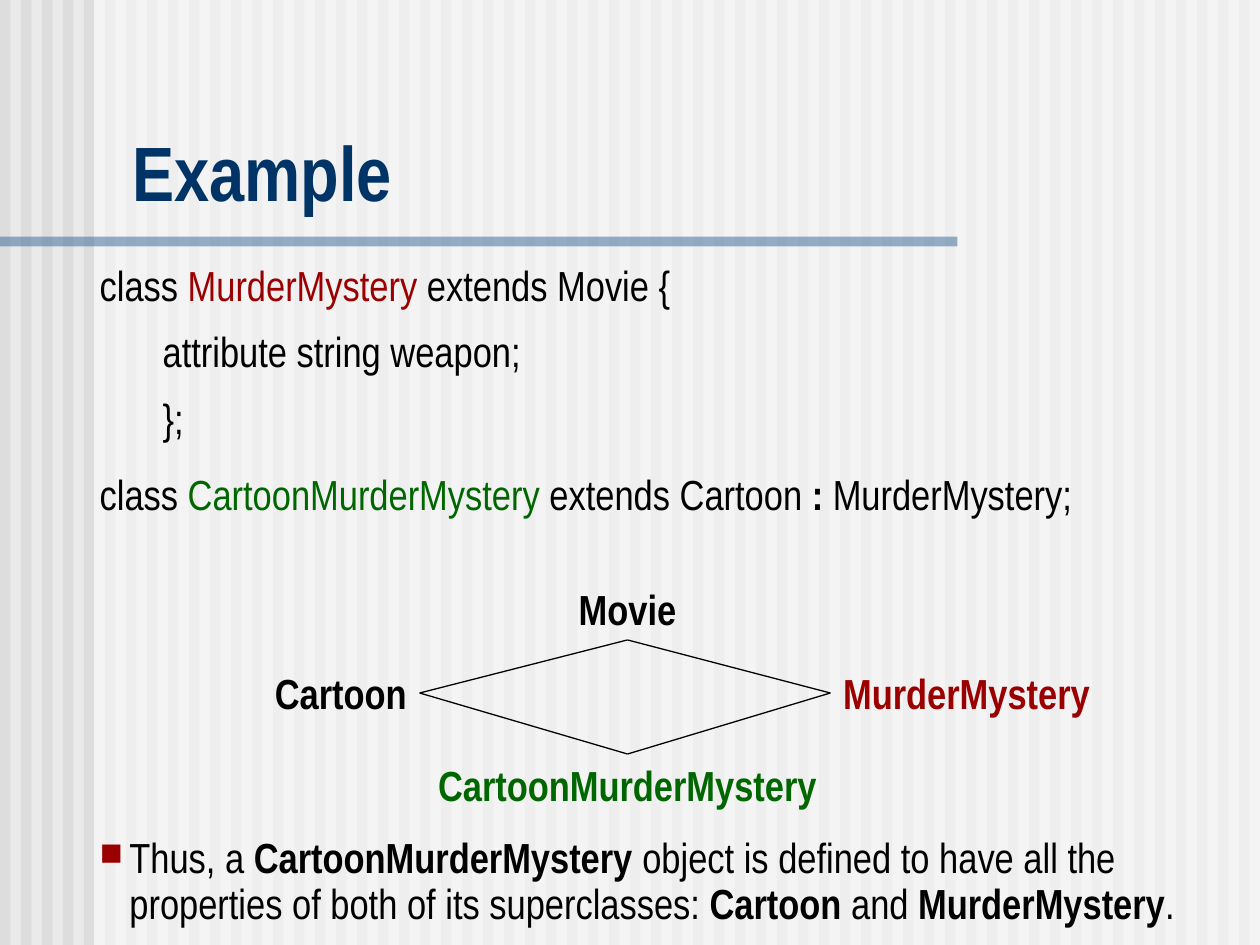
from lxml.etree import SubElement
from pptx import Presentation
from pptx.dml.color import RGBColor
from pptx.enum.shapes import MSO_CONNECTOR, MSO_SHAPE
from pptx.enum.text import MSO_ANCHOR, MSO_AUTO_SIZE, PP_ALIGN
from pptx.oxml.ns import qn
from pptx.util import Cm, Pt

FONT = "Arial Narrow"
C = {
    "back": "EAEAEA", "stripe": "DDDDDD", "veil": "FFFFFF", "rule": "336699",
    "title": "003366", "black": "000000", "red": "9A0000", "green": "006600",
}

# Content: a run is (text, colour, bold); boxes are left, top, width, height in cm
TITLE = "Example"
# Code line: runs, left margin, first-line indent, line spacing, space before
CODE = [
    ([("class ", "black", False), ("MurderMystery", "red", False),
      (" extends Movie {", "black", False)], 0.97, -0.97, 0.8, 6),
    ([("attribute string weapon;", "black", False)], 2.06, -0.79, 0.8, 15),
    ([("};", "black", False)], 2.06, -0.79, 0.8, 15),
    ([("class ", "black", False), ("CartoonMurderMystery", "green", False),
      (" extends Cartoon ", "black", False), (": ", "black", True),
      ("MurderMystery;", "black", False)], 0.97, -0.97, 1.0, 15),
]
CONCLUSION = [
    ("Thus, a ", "black", False), ("CartoonMurderMystery", "black", True),
    (" object is defined to have all the properties of both of its superclasses: ",
     "black", False),
    ("Cartoon ", "black", True), ("and ", "black", False),
    ("MurderMystery", "black", True), (".", "black", False),
]
# Class label: text, colour, box, space before
CLASSES = [
    ("Movie", "black", (11.33, 11.63, 2.64, 1.27), 15),
    ("MurderMystery", "red", (16.64, 13.34, 5.69, 1.27), 0),
    ("Cartoon", "black", (5.18, 13.34, 3.38, 1.27), 0),
    ("CartoonMurderMystery", "green", (8.45, 15.19, 8.4, 1.27), 0),
]
# Corners of the inheritance diamond: top, right, bottom, left
CORNERS = [(12.65, 12.9), (16.74, 13.97), (12.65, 15.2), (8.46, 13.97)]

W, H = 25.4, 19.05
STRIPES = 60


def rgb(name):
    return RGBColor.from_string(C[name])


def add_bar(shapes, box, colour, alpha=None):
    s = shapes.add_shape(MSO_SHAPE.RECTANGLE, *map(Cm, box))
    s.shadow.inherit = False
    s.fill.solid()
    s.fill.fore_color.rgb = rgb(colour)
    s.line.fill.background()
    if alpha:
        clr = s.element.spPr.find(".//" + qn("a:srgbClr"))
        SubElement(clr, qn("a:alpha"), val=str(alpha * 1000))


def add_runs(p, runs, size=24):
    for text, colour, bold in runs:
        r = p.add_run()
        r.text = text
        r.font.name = FONT
        r.font.size = Pt(size)
        r.font.bold = bold
        r.font.color.rgb = rgb(colour)


def add_text(shapes, box, wrap=True):
    tf = shapes.add_textbox(*map(Cm, box)).text_frame
    tf.word_wrap = wrap
    if not wrap:
        tf.auto_size = MSO_AUTO_SIZE.SHAPE_TO_FIT_TEXT
    return tf


def set_indent(p, margin, indent):
    pPr = p._p.get_or_add_pPr()
    pPr.set("marL", str(Cm(margin)))
    pPr.set("indent", str(Cm(indent)))
    return pPr


prs = Presentation()
prs.slide_width, prs.slide_height = Cm(W), Cm(H)
s = prs.slides.add_slide(prs.slide_layouts[5])
s.background.fill.solid()
s.background.fill.fore_color.rgb = rgb("back")

# Striped backdrop, pale veil and title rule
backdrop = s.shapes.add_group_shape().shapes
for i in range(STRIPES):
    add_bar(backdrop, (i * W / STRIPES, 0, W / STRIPES / 2, H), "stripe")
add_bar(backdrop, (1.9, 0, W - 1.9, H), "veil", 50)
add_bar(backdrop, (0, 4.77, 19.3, 0.2), "rule", 50)

# Title, brought in front of the backdrop
title = s.shapes.title
title.left, title.top, title.width, title.height = map(Cm, (2.41, 2.39, 22.68, 2.11))
title.element.getparent().append(title.element)
tf = title.text_frame
tf.vertical_anchor = MSO_ANCHOR.BOTTOM
tf.paragraphs[0].alignment = PP_ALIGN.LEFT
add_runs(tf.paragraphs[0], [(TITLE, "title", True)], 44)

# Class definitions
tf = add_text(s.shapes, (1.76, 5.3, 23.32, 6.35))
for i, (runs, margin, indent, spacing, before) in enumerate(CODE):
    p = tf.add_paragraph() if i else tf.paragraphs[0]
    p.line_spacing = spacing
    p.space_before = Pt(before)
    set_indent(p, margin, indent)
    add_runs(p, runs)

# Conclusion with a square bullet
p = add_text(s.shapes, (1.76, 16.76, 23.64, 2.08)).paragraphs[0]
p.line_spacing = 0.9
p.space_before = Pt(6)
pPr = set_indent(p, 0.6, -0.6)
SubElement(SubElement(pPr, qn("a:buClr")), qn("a:srgbClr"), val=C["red"])
SubElement(pPr, qn("a:buSzPct"), val="75000")
SubElement(pPr, qn("a:buChar"), char="■")
add_runs(p, CONCLUSION)

# Inheritance diamond: class labels and edges
diamond = s.shapes.add_group_shape().shapes
for text, colour, box, before in CLASSES:
    p = add_text(diamond, box, wrap=False).paragraphs[0]
    p.alignment = PP_ALIGN.CENTER
    p.space_before = Pt(before)
    add_runs(p, [(text, colour, True)])
for start, end in zip(CORNERS, CORNERS[1:] + CORNERS[:1]):
    edge = diamond.add_connector(MSO_CONNECTOR.STRAIGHT, *map(Cm, start + end))
    edge.line.color.rgb = rgb("black")
    edge.line.width = Pt(0.75)
    SubElement(edge.element.spPr, qn("a:effectLst"))

prs.save("out.pptx")
